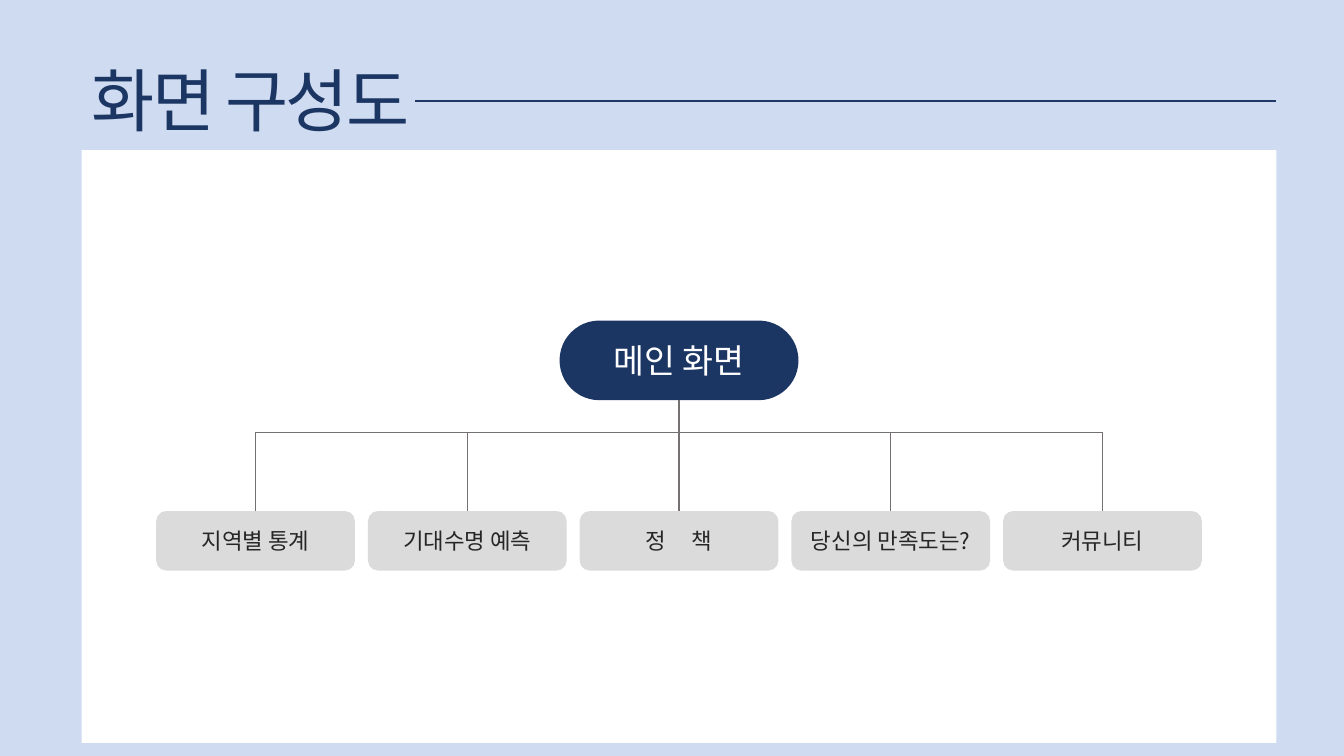
from lxml.etree import SubElement
from pptx import Presentation
from pptx.dml.color import RGBColor
from pptx.enum.shapes import MSO_CONNECTOR, MSO_SHAPE
from pptx.enum.text import MSO_ANCHOR, MSO_AUTO_SIZE, PP_ALIGN
from pptx.oxml.ns import qn
from pptx.util import Inches, Pt

FACE = "Noto Sans CJK KR"
HEX = {"sky": "CFDBF0", "white": "FFFFFF", "navy": "1C3664", "rule": "203864",
       "wire": "767171", "gray": "DBDBDB", "ink": "262626"}
RGB = {name: RGBColor.from_string(code) for name, code in HEX.items()}


def write(frame, parts, size, color, align, anchor):
    """Fill a frame with (text, letter spacing in 1/100 pt) parts."""
    frame.vertical_anchor = anchor
    para = frame.paragraphs[0]
    para.alignment = align
    for text, gap in parts:
        run = para.add_run()
        run.text = text
        for key, value in {"name": FACE, "size": Pt(size), "bold": False}.items():
            setattr(run.font, key, value)
        run.font.color.rgb = RGB[color]
        props = run._r.get_or_add_rPr()
        SubElement(props, qn("a:ea")).set("typeface", FACE)
        if gap:
            props.set("spc", str(gap))


def draw(kind, spot, color):
    """Add a flat shape without outline."""
    shape = slide.shapes.add_shape(kind, *[Inches(n) for n in spot])
    shape.shadow.inherit = False
    shape.fill.solid()
    shape.fill.fore_color.rgb = RGB[color]
    shape.line.fill.background()
    return shape


deck = Presentation()
deck.slide_width, deck.slide_height = Inches(13.33), Inches(7.5)
slide = deck.slides.add_slide(deck.slide_layouts[5])
slide.background.fill.solid()
slide.background.fill.fore_color.rgb = RGB["sky"]

# Title
title = slide.shapes.title
place = {"left": 0.81, "top": 0.52, "width": 6.8, "height": 0.93}
for key, value in place.items():
    setattr(title, key, Inches(value))
title.text_frame.auto_size = MSO_AUTO_SIZE.NONE
write(title.text_frame, [("화면 구성도", -190)], 49, "navy",
      PP_ALIGN.LEFT, MSO_ANCHOR.TOP)

# White panel and main node
draw(MSO_SHAPE.RECTANGLE, (0.81, 1.49, 11.85, 5.88), "white")
main = draw(MSO_SHAPE.ROUNDED_RECTANGLE, (5.55, 3.18, 2.37, 0.79), "navy")
main.adjustments[0] = 0.5
write(main.text_frame, [("메인 화면", 0)], 24, "white",
      PP_ALIGN.CENTER, MSO_ANCHOR.MIDDLE)

# Menu boxes, evenly spaced
labels = [[("지역별 통계", 0)], [("기대수명 예측", 0)], [("정 ", 720), ("책", 0)],
          [("당신의 만족도는?", 0)], [("커뮤니티", 0)]]
LEFT, STEP, WIDE, BUS = 1.55, 2.1, 1.97, 4.29
mids = [LEFT + WIDE / 2 + i * STEP for i in range(len(labels))]
boxes = []
for mid, parts in zip(mids, labels):
    box = draw(MSO_SHAPE.ROUNDED_RECTANGLE, (mid - WIDE / 2, 5.07, WIDE, 0.59), "gray")
    write(box.text_frame, parts, 16, "ink", PP_ALIGN.CENTER, MSO_ANCHOR.MIDDLE)
    boxes.append(box)

# Lines: title rule, trunk, bus, then one drop per box
# (start x, start y, end x, end y, color, weight, start node, end node)
hub = mids[2]
lines = [(4.12, 1, 12.66, 1, "rule", 1.5, None, None),
         (hub, 3.97, hub, BUS, "wire", 1, main, None),
         (mids[0], BUS, mids[-1], BUS, "wire", 1, None, None)]
lines += [(mid, BUS, mid, 5.07, "wire", 1, None, box) for mid, box in zip(mids, boxes)]
for *ends, color, weight, start, end in lines:
    line = slide.shapes.add_connector(MSO_CONNECTOR.STRAIGHT, *[Inches(n) for n in ends])
    line.line.color.rgb = RGB[color]
    line.line.width = Pt(weight)
    SubElement(line._element.spPr, qn("a:effectLst"))
    if start:
        line.begin_connect(start, 2)
    if end:
        line.end_connect(end, 0)

deck.save("out.pptx")
